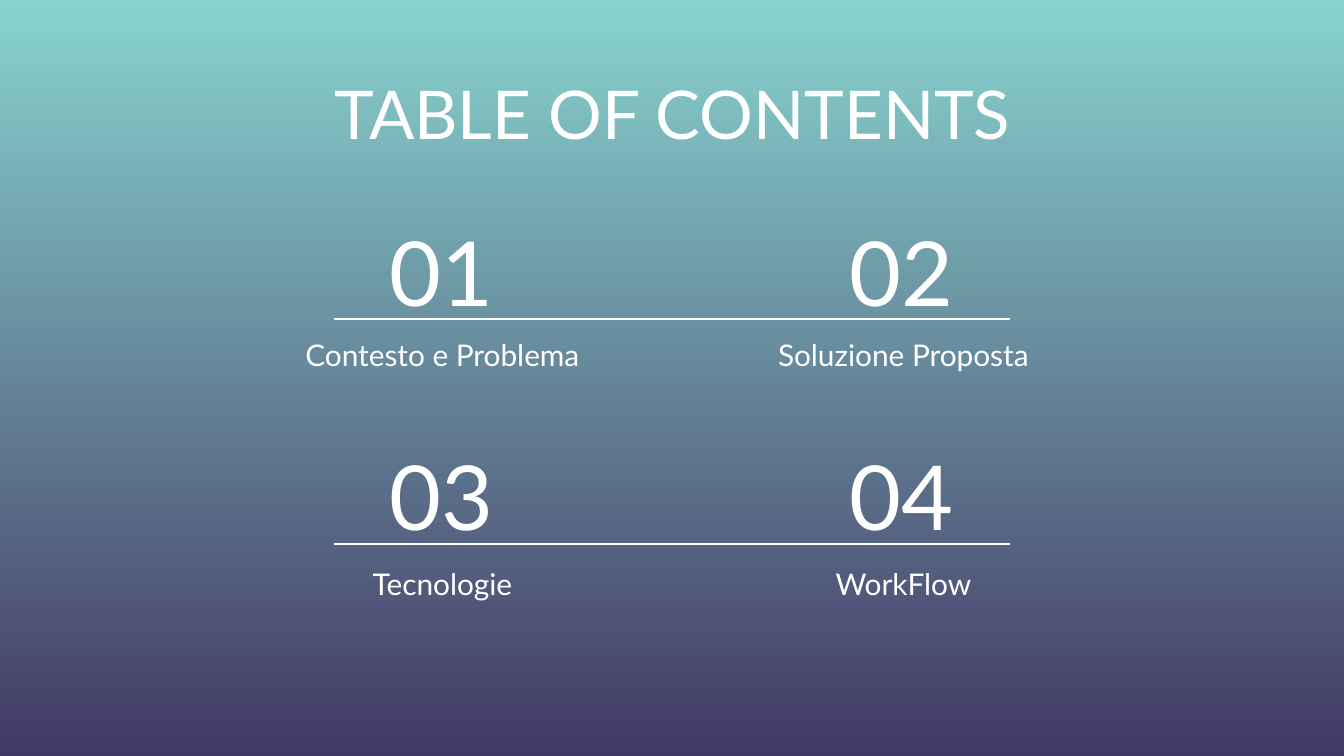
import pptx
import pptx.dml.color
import pptx.enum.shapes
import pptx.enum.text
import pptx.oxml
import pptx.util

SCALE = 914400 / 134.4
COLORS = {"top": "88D3CE", "bottom": "423864", "text": "FFFFFF"}
FONT = "Lato"
ANCHOR = pptx.enum.text.MSO_ANCHOR
SECTIONS = [
    ("01", "Contesto e Problema"),
    ("02", "Soluzione Proposta"),
    ("03", "Tecnologie"),
    ("04", "WorkFlow"),
]
NUMBER_X, LABEL_X = (313, 773), (249, 710)
NUMBER_Y, LABEL_Y, RULE_Y = (228, 452), (301, 530), (319, 544)


def px(n):
    return pptx.util.Emu(round(n * SCALE))


def rgb(name):
    return pptx.dml.color.RGBColor.from_string(COLORS[name])


def set_background(s):
    fill = s.background.fill
    fill.gradient()
    fill.gradient_angle = 270
    for stop, name in zip(fill.gradient_stops, ("top", "bottom")):
        stop.color.rgb = rgb(name)


def add_text(s, text, x, y, w, h, *, size, anchor):
    tf = s.shapes.add_textbox(px(x), px(y), px(w), px(h)).text_frame
    tf.word_wrap = True
    tf.vertical_anchor = anchor
    tf.margin_left = tf.margin_right = pptx.util.Inches(0.1)
    tf.margin_top = tf.margin_bottom = pptx.util.Inches(0.1)
    p = tf.paragraphs[0]
    p.alignment = pptx.enum.text.PP_ALIGN.CENTER
    r = p.add_run()
    r.text = text
    r.font.name = FONT
    r.font.size = pptx.util.Pt(size)
    r.font.color.rgb = rgb("text")


def add_rule(s, x1, x2, y):
    line = s.shapes.add_connector(
        pptx.enum.shapes.MSO_CONNECTOR.STRAIGHT, px(x1), px(y), px(x2), px(y)
    )
    line.line.color.rgb = rgb("text")
    line.line.width = pptx.util.Pt(1.5)
    sp_pr = line._element.spPr
    sp_pr.append(sp_pr.makeelement(pptx.oxml.ns.qn("a:effectLst"), {}))


def main():
    prs = pptx.Presentation()
    prs.slide_width, prs.slide_height = px(1344), px(756)
    s = prs.slides.add_slide(prs.slide_layouts[6])
    set_background(s)
    add_text(s, "TABLE OF CONTENTS", 165, 59, 1015, 138, size=36, anchor=ANCHOR.TOP)
    for i, (number, label) in enumerate(SECTIONS):
        row, col = divmod(i, 2)
        add_text(s, number, NUMBER_X[col], NUMBER_Y[row], 258, 85,
                 size=48, anchor=ANCHOR.MIDDLE)
        add_text(s, label, LABEL_X[col], LABEL_Y[row], 387, 85,
                 size=16, anchor=ANCHOR.BOTTOM)
    for y in RULE_Y:
        add_rule(s, 334, 1010, y)
    prs.save("out.pptx")


if __name__ == "__main__":
    main()
